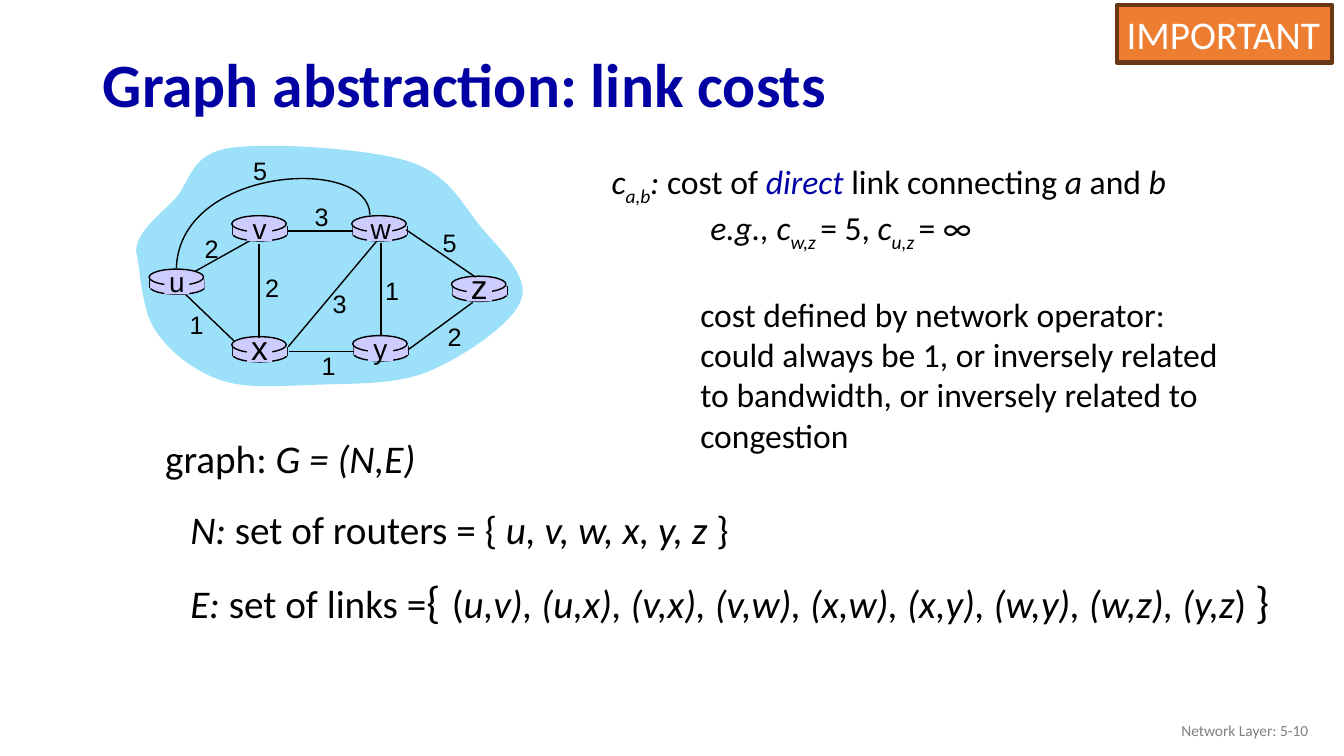
from dataclasses import dataclass
from typing import NamedTuple

import pptx
import pptx.dml.color
import pptx.enum.shapes
import pptx.enum.text
import pptx.oxml.ns
import pptx.util
from lxml import etree

SHAPE = pptx.enum.shapes.MSO_SHAPE
ALIGN = pptx.enum.text.PP_ALIGN
ANCHOR = pptx.enum.text.MSO_ANCHOR


@dataclass(frozen=True)
class Theme:
    body_font: str = "Calibri"
    graph_font: str = "Arial"
    ink: str = "000000"
    title: str = "0000A3"
    accent: str = "0000A8"
    footer: str = "808080"
    cloud: str = "9CE0FA"
    router: str = "CCCCFF"
    badge: str = "ED7D31"
    badge_edge: str = "683715"
    badge_ink: str = "FFFFFF"
    title_size: float = 44
    set_size: float = 28
    brace_size: float = 32
    space_size: float = 36
    note_size: float = 24
    cost_size: float = 18
    footer_size: float = 11


class Span(NamedTuple):
    text: str
    italic: bool = False
    subscript: bool = False
    color: str = ""
    size: float = 0


class Router(NamedTuple):
    name: str
    left: float
    top: float
    size: float = 20


class Cost(NamedTuple):
    text: str
    left: float
    top: float


# Graph data, in inches; links run from x, y to x, y
THEME = Theme()
ROUTERS = [Router("u", 1.48, 2.67), Router("x", 2.3, 3.34, 24), Router("v", 2.3, 2.14),
           Router("w", 3.49, 2.14), Router("y", 3.5, 3.33), Router("z", 4.48, 2.74, 24)]
LINK_BEHIND = (1.94, 2.69, 2.53, 2.36)
LINKS = [(3.78, 2.41, 3.78, 3.32), (2.57, 2.42, 2.57, 3.35), (2.86, 3.44, 3.74, 2.39),
         (4.05, 3.47, 4.69, 3), (3.51, 3.49, 2.87, 3.49), (2.32, 3.38, 1.84, 2.92),
         (3.5, 2.29, 2.86, 2.29), (4.72, 2.75, 4.03, 2.28)]
COSTS = [Cost("2", 1.93, 2.27), Cost("2", 2.53, 2.65), Cost("1", 1.78, 3.02),
         Cost("3", 3.2, 2.81), Cost("1", 3.09, 3.43), Cost("1", 3.72, 2.68),
         Cost("2", 4.34, 3.14), Cost("5", 4.29, 2.21), Cost("3", 3.02, 1.95),
         Cost("5", 2.41, 1.49)]
CLOUD = [(1.35, 2.49), (1.36, 2.29), (1.58, 2.14), (1.74, 1.97), (1.89, 1.8), (1.89, 1.53),
         (2.27, 1.47), (2.66, 1.41), (3.63, 1.47), (4.05, 1.6), (4.46, 1.73), (4.58, 2.02),
         (4.77, 2.25), (4.96, 2.48), (5.26, 2.74), (5.17, 2.98), (5.08, 3.22), (4.58, 3.55),
         (4.24, 3.69), (3.89, 3.83), (3.42, 3.8), (3.08, 3.82), (2.73, 3.83), (2.42, 3.86),
         (2.16, 3.76), (1.91, 3.67), (1.67, 3.48), (1.53, 3.26), (1.4, 3.05), (1.39, 2.65),
         (1.35, 2.49)]
ARC = [(3.67, 2.13), (3.66, 1.54), (1.78, 1.65), (1.75, 2.66)]


# Drawing helpers
def length(inches: float) -> int:
    return pptx.util.Cm(inches * 2.54)


def rgb(color: str) -> pptx.dml.color.RGBColor:
    return pptx.dml.color.RGBColor.from_string(color)


def paint(shape, fill: str = "", line: str = "", weight: float = 1) -> None:
    shape.shadow.inherit = False
    for part, color in ((shape.fill, fill), (shape.line.fill, line)):
        if color:
            part.solid()
            part.fore_color.rgb = rgb(color)
        else:
            part.background()
    if line:
        shape.line.width = pptx.util.Pt(weight)


def add_box(page, kind, *frame: float, **look):
    box = page.shapes.add_shape(kind, *map(length, frame))
    paint(box, **look)
    return box


def add_link(page, *ends: float) -> None:
    link = page.shapes.add_connector(pptx.enum.shapes.MSO_CONNECTOR.STRAIGHT, *map(length, ends))
    link.line.color.rgb = rgb(THEME.ink)
    link.line.width = pptx.util.Pt(1)
    etree.SubElement(link._element.spPr, pptx.oxml.ns.qn("a:effectLst"))


def add_curve(page, knots: list[tuple[float, float]], closed: bool, **look) -> None:
    """Draw an outline whose every three further knots form one cubic curve."""
    start, *rest = [tuple(map(length, knot)) for knot in knots]
    builder = page.shapes.build_freeform(*start)
    builder.add_line_segments(rest, close=closed)
    curve = builder.convert_to_shape()
    segments = list(curve._element.iter(pptx.oxml.ns.qn("a:lnTo")))
    for first in range(0, len(rest), 3):
        cubic = etree.Element(pptx.oxml.ns.qn("a:cubicBezTo"))
        segments[first].addprevious(cubic)
        for segment in segments[first:first + 3]:
            cubic.append(segment[0])
            segment.getparent().remove(segment)
    paint(curve, **look)


def write(para, spans: list[Span], *, size: float, font: str = THEME.body_font,
          color: str = THEME.ink, bold: bool = False, align=ALIGN.LEFT) -> None:
    para.alignment = align
    for part in spans:
        span = para.add_run()
        span.text, span.font.name = part.text, font
        span.font.size = pptx.util.Pt(part.size or size)
        span.font.bold, span.font.italic = bold, part.italic
        span.font.color.rgb = rgb(part.color or color)
        if part.subscript:
            span.font._element.set("baseline", "-25000")


def add_text(page, frame: tuple, *lines: list[Span], wrap=False, anchor=ANCHOR.TOP, **style):
    box = page.shapes.add_textbox(*map(length, frame))
    box.text_frame.word_wrap, box.text_frame.vertical_anchor = wrap, anchor
    for index, spans in enumerate(lines):
        para = box.text_frame.add_paragraph() if index else box.text_frame.paragraphs[0]
        write(para, spans, **style)
    return box


# Network graph
def add_router(page, router: Router) -> None:
    left, top = router.left + 0.01, router.top + 0.1
    look = {"fill": THEME.router, "line": THEME.ink}
    add_box(page, SHAPE.OVAL, left, top + 0.01, 0.54, 0.14, **look)
    for side in (left, left + 0.54):
        add_link(page, side, top, side, top + 0.09)
    add_box(page, SHAPE.RECTANGLE, left, top, 0.54, 0.09, fill=THEME.router)
    add_box(page, SHAPE.OVAL, router.left, router.top, 0.54, 0.16, **look)


def add_graph(page) -> None:
    graph = page.shapes.add_group_shape()
    label = {"font": THEME.graph_font, "align": ALIGN.CENTER}
    add_curve(graph, CLOUD, True, fill=THEME.cloud)
    add_link(graph, *LINK_BEHIND)
    for router in ROUTERS:
        add_router(graph, router)
    for link in LINKS:
        add_link(graph, *link)
    add_curve(graph, ARC, False, line=THEME.ink)
    for name, left, top, size in ROUTERS:
        add_box(graph, SHAPE.RECTANGLE, left + 0.15, top + 0.02, 0.25, 0.23, fill=THEME.router)
        rise, height = (0.09, 0.43) if size == 20 else (0.15, 0.5)
        add_text(graph, (left + 0.09, top - rise, 0.37, height), [Span(name)], size=size, **label)
    for text, left, top in COSTS:
        add_text(graph, (left, top, 0.34, 0.4), [Span(text)], size=THEME.cost_size, **label)


# Title, notes and badge
def add_title(page) -> None:
    title = page.shapes.title
    title.left, title.top, title.width, title.height = map(length, (0.92, 0.38, 7.5, 0.98))
    title.text_frame.vertical_anchor = ANCHOR.MIDDLE
    para = title.text_frame.paragraphs[0]
    para.line_spacing = 0.9
    write(para, [Span("Graph abstraction: link costs")], size=THEME.title_size,
          color=THEME.title, bold=True)


def add_notes(page) -> None:
    notes = add_text(
        page, (5.97, 1.55, 6.44, 2.93),
        [Span("c", True), Span("a,b", True, True), Span(": ", True), Span("cost of "),
         Span("direct", True, color=THEME.accent), Span(" link connecting "),
         Span("a", True), Span(" and "), Span("b", True)],
        [Span("e.g., c", True), Span("w,z ", True, True), Span("= 5, "),
         Span("c", True), Span("u,z ", True, True), Span("= ∞")],
        [Span("cost defined by network operator: could always be 1, or inversely related "
              "to bandwidth, or inversely related to congestion")],
        wrap=True, size=THEME.note_size)
    for para, margin, gap in zip(notes.text_frame.paragraphs[1:], (0.98, 0.88), (0, 29)):
        para._p.get_or_add_pPr().set("marL", str(length(margin)))
        para.space_before = pptx.util.Pt(gap)


def add_sets(page) -> None:
    links = "u,v), (u,x), (v,x), (v,w), (x,w), (x,y), (w,y), (w,z), (y,z"
    rows = [((1.54, 4.26, 2.71, 1.04), [Span("graph: "), Span("G = (N,E)", True)]),
            ((1.79, 4.96, 5.59, 0.57), [Span("N: ", True), Span("set of routers = { "),
                                        Span("u, v, w, x, y, z ", True), Span("}")]),
            ((1.79, 5.59, 11.02, 0.71),
             [Span("E: ", True), Span("set of links ="), Span("{", size=THEME.brace_size),
              Span(" ", size=THEME.space_size), Span("("), Span(links, True), Span(") "),
              Span("}", size=THEME.brace_size)])]
    for frame, spans in rows:
        add_text(page, frame, spans, size=THEME.set_size)


def main() -> None:
    deck = pptx.Presentation()
    deck.slide_width, deck.slide_height = pptx.util.Cm(33.87), pptx.util.Cm(19.05)
    page = deck.slides.add_slide(deck.slide_layouts[5])
    add_title(page)
    add_text(page, (10.08, 7.05, 3, 0.4), [Span("Network Layer: 5-10")], wrap=True,
             anchor=ANCHOR.MIDDLE, size=THEME.footer_size, color=THEME.footer, align=ALIGN.RIGHT)
    add_graph(page)
    add_sets(page)
    add_notes(page)
    badge = add_box(page, SHAPE.RECTANGLE, 11.08, 0.05, 2.14, 0.57,
                    fill=THEME.badge, line=THEME.badge_edge, weight=3)
    badge.text_frame.word_wrap = False
    write(badge.text_frame.paragraphs[0], [Span("IMPORTANT")], size=THEME.set_size,
          color=THEME.badge_ink)
    deck.save("out.pptx")


if __name__ == "__main__":
    main()
